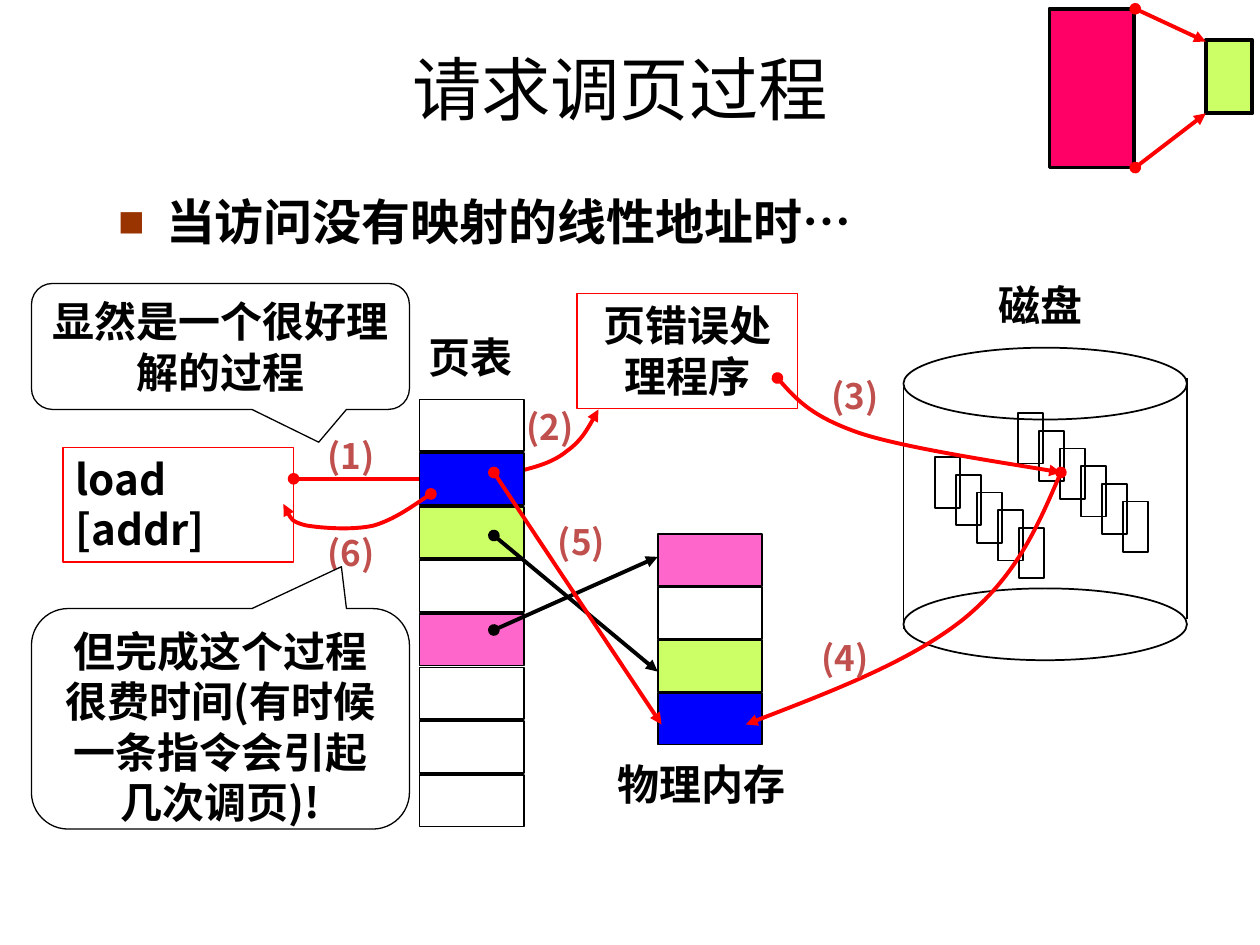
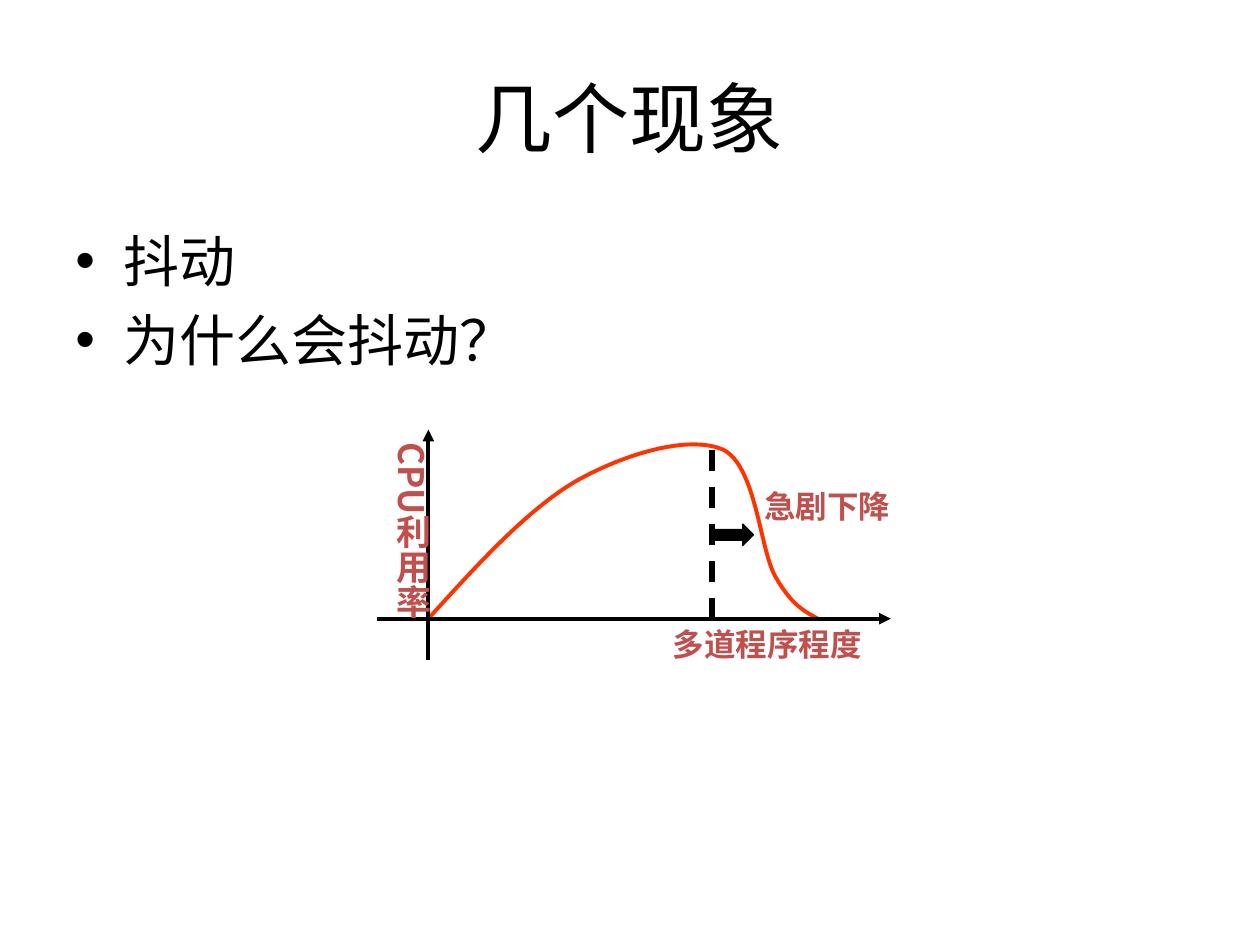
from dataclasses import dataclass

from pptx import Presentation
from pptx import util as u
from pptx.dml.color import RGBColor
from pptx.enum import dml, shapes, text
from pptx.oxml import ns
from pptx.oxml.xmlchemy import OxmlElement


@dataclass(frozen=True)
class Theme:
    font: str = "Noto Sans CJK SC"
    bullet_font: str = "Arial"
    ink: str = "000000"
    paper: str = "FFFFFF"
    red: str = "FF0000"
    curve: str = "FF3300"
    label: str = "C0504D"
    bullet: str = "993300"
    blue: str = "0000FF"
    green: str = "CCFF66"
    pink: str = "FF66CC"
    crimson: str = "FF0066"
    title: float = 44
    small_title: float = 39.6
    body: float = 32
    lead: float = 28
    node: float = 24
    step: float = 20
    axis: float = 18
    hairline: float = 0.75
    thin: float = 1
    bold_line: float = 2.25
    dash_line: float = 3


THEME = Theme()
RECT = shapes.MSO_SHAPE.RECTANGLE
LEFT = text.PP_ALIGN.LEFT
CENTER = text.PP_ALIGN.CENTER


def rgb(color):
    return RGBColor.from_string(color)


def inches(*lengths):
    return [u.Inches(length) for length in lengths]


def add_child(parent, tag, **attributes):
    child = OxmlElement(tag)
    for key, value in attributes.items():
        child.set(key, str(value))
    parent.append(child)
    return child


def write(paragraph, words, size, color=THEME.ink, bold=True, align=LEFT):
    paragraph.alignment = align
    run = paragraph.add_run()
    run.text = words
    run.font.name = THEME.font
    run.font.size = u.Pt(size)
    run.font.bold = bold
    run.font.color.rgb = rgb(color)
    add_child(run.font._element, "a:ea", typeface=THEME.font)


def add_title(slide, words, box, size):
    title = slide.shapes.title
    title.left, title.top, title.width, title.height = inches(*box)
    title.text_frame.vertical_anchor = text.MSO_ANCHOR.MIDDLE
    write(title.text_frame.paragraphs[0], words, size, bold=False, align=CENTER)


def add_label(slide, words, box, size, color=THEME.ink, align=LEFT, wrap=True):
    label = slide.shapes.add_textbox(*inches(*box))
    label.text_frame.word_wrap = wrap
    write(label.text_frame.paragraphs[0], words, size, color, align=align)
    return label


def add_bullets(slide, items, box, size, mark, bold=False, mark_color=THEME.ink,
                mark_size=100, spacing=1.0):
    frame = slide.shapes.add_textbox(*inches(*box)).text_frame
    frame.word_wrap = True
    for index, item in enumerate(items):
        paragraph = frame.add_paragraph() if index else frame.paragraphs[0]
        properties = paragraph._p.get_or_add_pPr()
        properties.set("marL", str(u.Inches(0.38)))
        properties.set("indent", str(-u.Inches(0.38)))
        add_child(add_child(properties, "a:buClr"), "a:srgbClr", val=mark_color)
        add_child(properties, "a:buSzPct", val=mark_size * 1000)
        add_child(properties, "a:buFont", typeface=THEME.bullet_font)
        add_child(properties, "a:buChar", char=mark)
        paragraph.line_spacing = spacing
        if index:
            paragraph.space_before = u.Pt(size * 0.2)
        write(paragraph, item, size, bold=bold)


def set_line(shape, color, width, head=None, tail=None, dash=None):
    shape.line.color.rgb = rgb(color)
    shape.line.width = u.Pt(width)
    if dash:
        shape.line.dash_style = dash
    outline = shape.element.spPr.find(ns.qn("a:ln"))
    for tag, kind in (("a:headEnd", head), ("a:tailEnd", tail)):
        if kind:
            add_child(outline, tag, type=kind)


def add_block(slide, box, fill=None, line=THEME.ink, width=THEME.thin,
              kind=RECT, words="", align=LEFT):
    block = slide.shapes.add_shape(kind, *inches(*box))
    block.shadow.inherit = False
    if fill:
        block.fill.solid()
        block.fill.fore_color.rgb = rgb(fill)
    else:
        block.fill.background()
    set_line(block, line, width)
    if words:
        block.text_frame.word_wrap = True
        block.text_frame.vertical_anchor = text.MSO_ANCHOR.TOP
        write(block.text_frame.paragraphs[0], words, THEME.node, align=align)
    return block


def add_callout(slide, words, box, pointer):
    callout = add_block(slide, box, THEME.paper, width=THEME.hairline,
                        kind=shapes.MSO_SHAPE.ROUNDED_RECTANGULAR_CALLOUT,
                        words=words, align=CENTER)
    callout.adjustments[0], callout.adjustments[1] = pointer


def add_line(slide, start, end, color=THEME.ink, width=THEME.bold_line,
             head=None, tail=None, dash=None):
    line = slide.shapes.add_connector(shapes.MSO_CONNECTOR.STRAIGHT,
                                      *inches(*start, *end))
    set_line(line, color, width, head, tail, dash)
    add_child(line.element.spPr, "a:effectLst")


def add_link(slide, start, end, color=THEME.red):
    add_line(slide, start, end, color, head="oval", tail="triangle")


def add_curve(slide, points, color=THEME.red, head="oval", tail="triangle"):
    start, *controls = [inches(*point) for point in points]
    builder = slide.shapes.build_freeform(*start)
    builder.add_line_segments(controls, close=False)
    curve = builder.convert_to_shape()
    curve.shadow.inherit = False
    curve.fill.background()
    set_line(curve, color, THEME.bold_line, head, tail)
    route = curve.element.spPr.find(".//" + ns.qn("a:path"))
    segments = route.findall(ns.qn("a:lnTo"))
    for first in range(0, len(segments), 3):
        bezier = add_child(route, "a:cubicBezTo")
        for segment in segments[first:first + 3]:
            bezier.append(segment[0])
            route.remove(segment)


def add_memory(slide, left, first_top, last_top, fills):
    pitch = (last_top - first_top) / (len(fills) - 1)
    for row, fill in enumerate(fills):
        add_block(slide, (left, first_top + row * pitch, 0.83, 0.41), fill)


def add_disk(slide):
    for top in (2.76, 4.67):
        add_block(slide, (7.17, top, 2.25, 0.57), kind=shapes.MSO_SHAPE.OVAL)
    add_line(slide, (7.17, 3.07), (7.17, 4.99), width=THEME.thin)
    add_line(slide, (9.42, 3), (9.42, 4.91), width=THEME.thin)
    for left, top, count in ((7.42, 3.63, 5), (8.08, 3.28, 6)):
        for index in range(count):
            add_block(slide, (left + index / 6, top + index * 0.14, 0.2, 0.4))


def add_mapping_emblem(slide):
    add_block(slide, (9.57, 0.32, 0.37, 0.58), THEME.green, width=THEME.bold_line)
    add_block(slide, (8.33, 0.07, 0.67, 1.26), THEME.crimson, width=THEME.bold_line)
    add_link(slide, (9.01, 0.07), (9.57, 0.33))
    add_link(slide, (9.01, 1.33), (9.57, 0.9))


def build_paging(slide):
    add_title(slide, "请求调页过程", (0.42, 0.33, 9, 0.74), THEME.small_title)
    add_mapping_emblem(slide)
    add_bullets(slide, ["当访问没有映射的线性地址时…"], (0.84, 1.33, 8.66, 0.95),
                THEME.lead, "■", True, THEME.bullet, 90, 1.3)
    add_disk(slide)
    for words, box in (("磁盘", (7.83, 2.17, 0.88, 0.51)),
                       ("页表", (3.3, 2.58, 0.88, 0.51)),
                       ("物理内存", (4.8, 5.97, 1.56, 0.51))):
        add_label(slide, words, box, THEME.node, wrap=False)
    add_block(slide, (0.5, 3.55, 1.83, 0.91), line=THEME.red,
              width=THEME.hairline, words="load [addr]")
    add_block(slide, (4.58, 2.33, 1.75, 0.91), line=THEME.red,
              width=THEME.hairline, words="页错误处理程序", align=CENTER)

    add_link(slide, (2.33, 3.8), (3.5, 3.8))
    add_curve(slide, [(4.08, 3.75), (4.24, 3.71), (4.39, 3.67), (4.5, 3.58),
                      (4.61, 3.5), (4.68, 3.38), (4.75, 3.25)])
    add_memory(slide, 3.33, 3.17, 6.15,
               [None, THEME.blue, THEME.green, None, THEME.pink, None, None, None])
    add_memory(slide, 5.22, 4.24, 5.5,
               [THEME.pink, THEME.paper, THEME.green, THEME.blue])
    add_link(slide, (3.92, 5), (5.22, 4.42), THEME.ink)
    add_link(slide, (3.92, 4.25), (5.22, 5.33), THEME.ink)
    add_curve(slide, [(6.17, 3), (6.31, 3.16), (6.45, 3.31), (6.83, 3.44),
                      (7.2, 3.56), (8.15, 3.7), (8.42, 3.75)])
    add_curve(slide, [(8.42, 3.75), (8.24, 4.17), (8.06, 4.58), (7.64, 4.92),
                      (7.22, 5.25), (6.57, 5.5), (5.92, 5.75)])
    add_curve(slide, [(3.42, 3.92), (3.27, 4.02), (3.13, 4.12), (2.97, 4.17),
                      (2.8, 4.21), (2.55, 4.19), (2.43, 4.17),
                      (2.31, 4.14), (2.28, 4.07), (2.25, 4)])
    add_link(slide, (3.92, 3.75), (5.25, 5.75))

    step_places = [(2.5, 3.4), (4.08, 3.17), (6.5, 2.92),
                   (6.42, 5), (4.33, 4.08), (2.5, 4.17)]
    for number, place in enumerate(step_places, 1):
        add_label(slide, f"({number})", (*place, 0.75, 0.43), THEME.step, THEME.label)
    add_callout(slide, "但完成这个过程很费时间(有时候一条指令会引起几次调页)!",
                (0.25, 4.83, 3, 1.75), (0.32, -0.69))
    add_callout(slide, "显然是一个很好理解的过程", (0.25, 2.25, 3, 1), (0.26, 0.76))


def build_thrashing(slide):
    add_title(slide, "几个现象", (0.5, 0.3, 9, 1.25), THEME.title)
    add_bullets(slide, ["抖动", "为什么会抖动？"], (0.5, 1.75, 9, 1.5), THEME.body, "•")
    add_curve(slide, [(3.4, 4.91), (3.79, 4.48), (4.18, 4.05), (4.57, 3.82),
                      (4.96, 3.6), (5.47, 3.45), (5.74, 3.57),
                      (6, 3.7), (6.03, 4.35), (6.15, 4.57),
                      (6.28, 4.8), (6.38, 4.85), (6.49, 4.91)],
              THEME.curve, head=None, tail=None)
    add_line(slide, (2.99, 4.91), (7.07, 4.91), tail="triangle")
    add_line(slide, (3.4, 5.24), (3.4, 3.41), tail="triangle")
    add_label(slide, "多道程序程度", (5.24, 4.91, 1.83, 0.4), THEME.axis, THEME.label)
    utilisation = add_label(slide, "CPU利用率", (2.95, 3.41, 0.54, 1.92),
                            THEME.step, THEME.label)
    utilisation.text_frame._txBody.bodyPr.set("vert", "eaVert")
    add_line(slide, (5.65, 4.91), (5.65, 3.57), width=THEME.dash_line,
             dash=dml.MSO_LINE.DASH)
    add_block(slide, (5.65, 4.16, 0.33, 0.17), THEME.ink, width=THEME.hairline,
              kind=shapes.MSO_SHAPE.RIGHT_ARROW)
    add_label(slide, "急剧下降", (5.9, 3.82, 1.33, 0.4), THEME.axis, THEME.label, CENTER)


def main():
    deck = Presentation()
    deck.slide_width, deck.slide_height = inches(10, 7.5)
    title_only = deck.slide_layouts[5]
    for build in (build_paging, build_thrashing):
        build(deck.slides.add_slide(title_only))
    deck.save("out.pptx")


if __name__ == "__main__":
    main()
